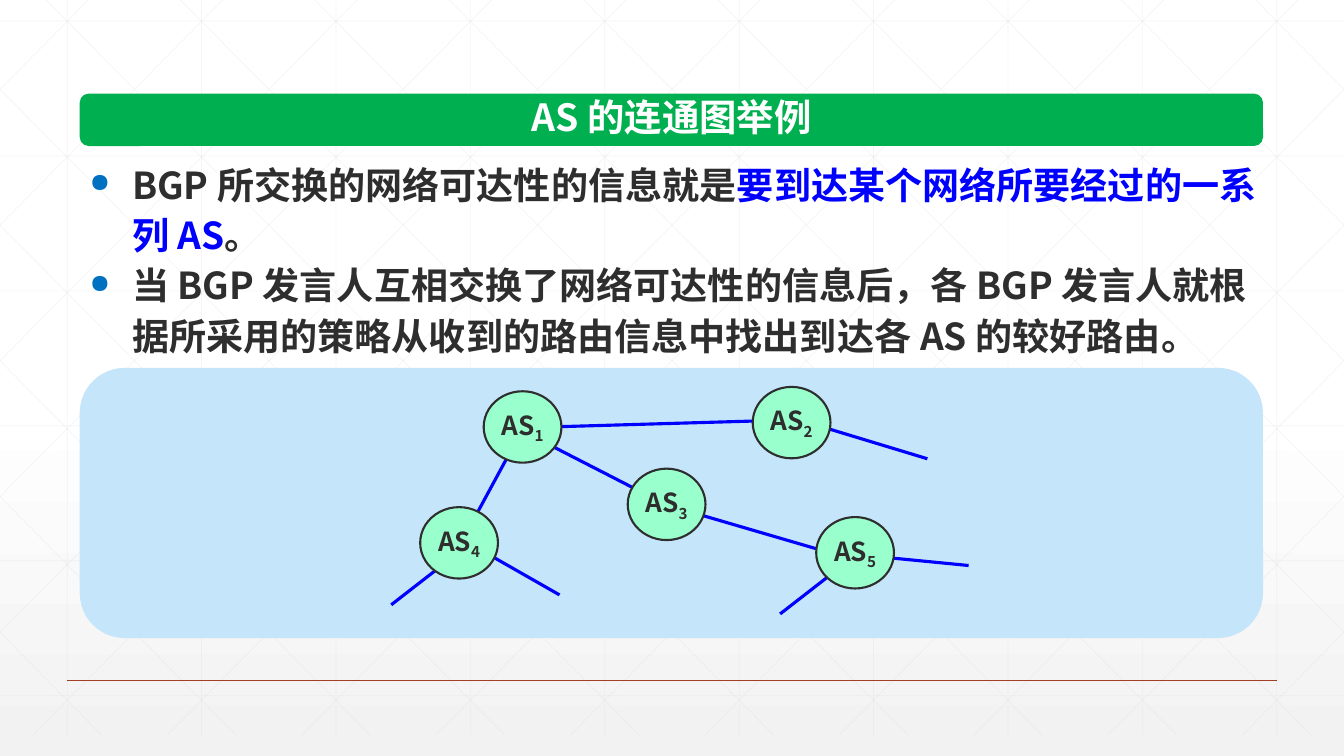
"""Build a slide on AS connectivity in BGP, with a diagram of five linked systems."""
from dataclasses import dataclass

from lxml import etree
from pptx import Presentation
from pptx.dml.color import RGBColor
from pptx.enum.shapes import MSO_CONNECTOR, MSO_SHAPE
from pptx.enum.text import MSO_ANCHOR, PP_ALIGN
from pptx.oxml.ns import qn
from pptx.util import Cm, Pt

STRAIGHT = MSO_CONNECTOR.STRAIGHT
ROUNDED, OVAL = MSO_SHAPE.ROUNDED_RECTANGLE, MSO_SHAPE.OVAL
CENTER, MIDDLE = PP_ALIGN.CENTER, MSO_ANCHOR.MIDDLE


@dataclass(frozen=True)
class Theme:
    """Colours and type of the slide."""
    font: str = "Noto Sans CJK SC"
    title_size: float = 26.7
    body_size: float = 26.5
    node_size: float = 18.7
    line_spacing: float = 36
    bullet_percent: int = 70
    ink: str = "2D2E2D"
    white: str = "FFFFFF"
    shade: str = "F2F2F2"
    grid: str = "D9D9D9"
    rule: str = "A43F27"
    panel: str = "C5E5FB"
    banner: str = "00B050"
    bullet: str = "0070C0"
    blue: str = "0000FF"
    node: str = "99FFCC"


THEME = Theme()
TITLE = "AS 的连通图举例"
BULLETS = [
    [("BGP 所交换的网络可达性的信息就是", THEME.ink),
     ("要到达某个网络所要经过的一系列 AS", THEME.blue),
     ("。", THEME.ink)],
    [("当 BGP 发言人互相交换了网络可达性的信息后，各 BGP 发言人就"
      "根据所采用的策略从收到的路由信息中找出到达各 AS 的较好路由。", THEME.ink)],
]
NODES = {
    "1": (12.19, 9.86),
    "2": (18.97, 9.75),
    "3": (15.82, 11.81),
    "4": (10.59, 12.78),
    "5": (20.57, 13.03),
}
LINKS = [
    (11.96, 13.77, 14.1, 14.99),
    (11.43, 14.02, 9.86, 15.24),
    (21.23, 14.25, 19.66, 15.47),
    (13.46, 10.77, 19.66, 10.59),
    (20.17, 10.59, 23.37, 11.56),
    (13.34, 10.95, 16.46, 12.55),
    (16.99, 12.78, 21.23, 14.02),
    (22.05, 14.02, 24.41, 14.25),
    (11.71, 13.51, 13.03, 11.07),
]
WIDTH, HEIGHT = 33.87, 19.05
LEFT, CONTENT_WIDTH = 2.01, 29.82
NODE_WIDTH, NODE_HEIGHT = 1.96, 1.8
GRID_BOTTOM, COLUMN, ROW = 18.52, WIDTH / 10, 3.4
DIAGONAL_START, DIAGONAL_SLOPE = 1.16, 0.99


def add_line(shapes, ends, color, weight, opacity=100):
    line = shapes.add_connector(STRAIGHT, *map(Cm, ends))
    line.line.color.rgb = RGBColor.from_string(color)
    line.line.width = Pt(weight)
    properties = line._element.spPr
    if opacity < 100:
        tint = properties.find(".//" + qn("a:srgbClr"))
        etree.SubElement(tint, qn("a:alpha"), val=str(opacity * 1000))
    etree.SubElement(properties, qn("a:effectLst"))


def add_shape(shapes, kind, frame, fill, outline=None):
    shape = shapes.add_shape(kind, *map(Cm, frame))
    shape.shadow.inherit = False
    shape.fill.solid()
    shape.fill.fore_color.rgb = RGBColor.from_string(fill)
    if outline:
        shape.line.color.rgb = RGBColor.from_string(outline)
        shape.line.width = Pt(1.5)
    else:
        shape.line.fill.background()
    return shape


def add_span(para, text, color, size):
    span = para.add_run()
    span.text = text
    span.font.name = THEME.font
    span.font.size = Pt(size)
    span.font.bold = True
    span.font.color.rgb = RGBColor.from_string(color)
    properties = span.font._element
    etree.SubElement(properties, qn("a:ea"), typeface=THEME.font)
    return properties


def add_text_box(page, frame):
    box = page.shapes.add_textbox(*map(Cm, frame))
    box.text_frame.word_wrap = True
    return box.text_frame


def add_bullet(para):
    properties = para._p.get_or_add_pPr()
    properties.set("marL", str(Cm(1.07)))
    properties.set("indent", str(-Cm(1.07)))
    para.line_spacing = Pt(THEME.line_spacing)
    color = etree.SubElement(properties, qn("a:buClr"))
    etree.SubElement(color, qn("a:srgbClr"), val=THEME.bullet)
    etree.SubElement(properties, qn("a:buSzPct"), val=str(THEME.bullet_percent * 1000))
    etree.SubElement(properties, qn("a:buChar"), char="●")


def grid_lines():
    for column in range(10):
        x = COLUMN * (column + 0.5)
        yield x, 0, x, GRID_BOTTOM
    for row in range(6):
        y = 0.53 + ROW * row
        yield 0, y, WIDTH, y
    for step in range(-5, 10):
        start = DIAGONAL_START + COLUMN * step
        x1 = max(start, 0)
        x2 = min(start + GRID_BOTTOM * DIAGONAL_SLOPE, WIDTH)
        y1, y2 = ((x - start) / DIAGONAL_SLOPE for x in (x1, x2))
        yield x1, y1, x2, y2
        yield WIDTH - x1, y1, WIDTH - x2, y2


def draw_backdrop(page):
    fill = page.background.fill
    fill.gradient()
    fill.gradient_angle = 270
    stops = ((0.53, THEME.white), (1, THEME.shade))
    for stop, (position, color) in zip(fill.gradient_stops, stops):
        stop.position = position
        stop.color.rgb = RGBColor.from_string(color)
    grid = page.shapes.add_group_shape()
    for ends in grid_lines():
        add_line(grid.shapes, ends, THEME.grid, 0.5, 25)
    add_line(page.shapes, (1.69, 17.15, 32.18, 17.15), THEME.rule, 1)


def draw_text(page):
    body = add_text_box(page, (LEFT, 3.81, CONTENT_WIDTH, 5.28))
    body.margin_right = Cm(0.1)
    for index, spans in enumerate(BULLETS):
        para = body.add_paragraph() if index else body.paragraphs[0]
        add_bullet(para)
        for text, color in spans:
            add_span(para, text, color, THEME.body_size)
    banner = add_shape(page.shapes, ROUNDED, (LEFT, 2.36, CONTENT_WIDTH, 1.32), THEME.banner)
    banner.adjustments[0] = 0.17
    title = add_text_box(page, (7.19, 2.24, 19.48, 1.4)).paragraphs[0]
    title.alignment = CENTER
    add_span(title, TITLE, THEME.white, THEME.title_size)


def draw_diagram(page):
    diagram = page.shapes.add_group_shape()
    for ends in LINKS:
        add_line(diagram.shapes, ends, THEME.blue, 2.25)
    for number, corner in NODES.items():
        frame = (*corner, NODE_WIDTH, NODE_HEIGHT)
        node = add_shape(diagram.shapes, OVAL, frame, THEME.node, THEME.ink)
        node.text_frame.word_wrap = False
        node.text_frame.vertical_anchor = MIDDLE
        para = node.text_frame.paragraphs[0]
        para.alignment = CENTER
        add_span(para, "AS", THEME.ink, THEME.node_size)
        add_span(para, number, THEME.ink, THEME.node_size).set("baseline", "-25000")


def main():
    deck = Presentation()
    deck.slide_width, deck.slide_height = Cm(WIDTH), Cm(HEIGHT)
    page = deck.slides.add_slide(deck.slide_layouts[6])
    draw_backdrop(page)
    add_shape(page.shapes, ROUNDED, (LEFT, 9.27, CONTENT_WIDTH, 6.81), THEME.panel)
    draw_text(page)
    draw_diagram(page)
    deck.save("out.pptx")


if __name__ == "__main__":
    main()
